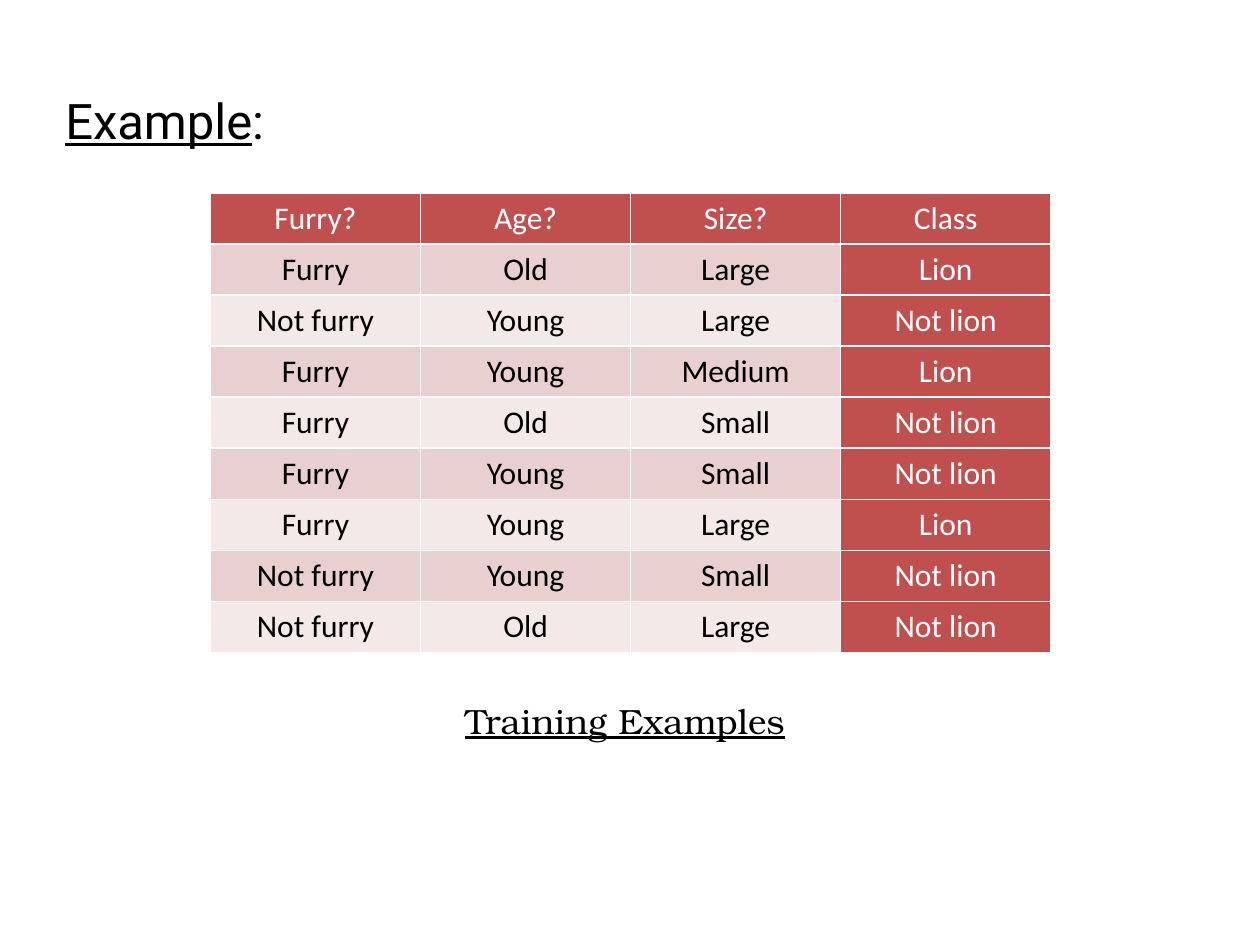
from lxml import etree
from pptx import Presentation
from pptx.dml.color import RGBColor
from pptx.enum.text import MSO_AUTO_SIZE, PP_ALIGN
from pptx.oxml.ns import qn
from pptx.util import Inches, Pt

LEFT, CENTER = PP_ALIGN.LEFT, PP_ALIGN.CENTER
FIT_SHAPE = MSO_AUTO_SIZE.SHAPE_TO_FIT_TEXT

COLORS = {
    "text": "000000",
    "light": "FFFFFF",
    "accent": "C0504D",
    "band_dark": "E8D0D0",
    "band_light": "F4E9E9",
}

# Each run: text, underlined
HEADING = [("Example", True), (":", False)]
CAPTION = [("Training Examples", True)]

EXAMPLES = [
    ("Furry?", "Age?", "Size?", "Class"),
    ("Furry", "Old", "Large", "Lion"),
    ("Not furry", "Young", "Large", "Not lion"),
    ("Furry", "Young", "Medium", "Lion"),
    ("Furry", "Old", "Small", "Not lion"),
    ("Furry", "Young", "Small", "Not lion"),
    ("Furry", "Young", "Large", "Lion"),
    ("Not furry", "Young", "Small", "Not lion"),
    ("Not furry", "Old", "Large", "Not lion"),
]
TABLE_BOX = (1.67, 1.53, 6.67, 3.65)


def add_run(paragraph, text, font, size, color, underline=False):
    """Append one formatted run to a paragraph."""
    run = paragraph.add_run()
    run.text = text
    run.font.name = font
    run.font.size = Pt(size)
    run.font.underline = underline
    run.font.color.rgb = RGBColor.from_string(COLORS[color])


def add_label(slide, box, runs, font, size, align):
    """Add a one-paragraph text box."""
    frame = slide.shapes.add_textbox(*map(Inches, box)).text_frame
    frame.word_wrap = True
    frame.auto_size = FIT_SHAPE
    paragraph = frame.paragraphs[0]
    paragraph.alignment = align
    for text, underline in runs:
        add_run(paragraph, text, font, size, "text", underline)


def set_borders(cell, color, width):
    """Draw the same line on all four sides of a cell."""
    properties = cell._tc.get_or_add_tcPr()
    for position, side in enumerate(("a:lnL", "a:lnR", "a:lnT", "a:lnB")):
        line = etree.Element(qn(side), w=str(Pt(width)))
        fill = etree.SubElement(line, qn("a:solidFill"))
        etree.SubElement(fill, qn("a:srgbClr"), val=COLORS[color])
        properties.insert(position, line)


def add_examples(slide):
    """Add the table with an accented header row and class column."""
    row_count, column_count = len(EXAMPLES), len(EXAMPLES[0])
    table = slide.shapes.add_table(
        row_count, column_count, *map(Inches, TABLE_BOX)).table
    for column in table.columns:
        column.width = Inches(TABLE_BOX[2] / column_count)
    for r, example in enumerate(EXAMPLES):
        table.rows[r].height = Inches(TABLE_BOX[3] / row_count)
        band = "band_dark" if r % 2 else "band_light"
        for c, value in enumerate(example):
            accented = r == 0 or c == column_count - 1
            cell = table.cell(r, c)
            cell.fill.solid()
            cell.fill.fore_color.rgb = RGBColor.from_string(
                COLORS["accent" if accented else band])
            set_borders(cell, "light", 1)
            paragraph = cell.text_frame.paragraphs[0]
            paragraph.alignment = CENTER
            add_run(paragraph, value, "Calibri", 18,
                    "light" if accented else "text")
            # Header and class column keep the regular weight
            paragraph.runs[0].font.bold = False


presentation = Presentation()
presentation.slide_width = Inches(10)
presentation.slide_height = Inches(7.5)
slide = presentation.slides.add_slide(presentation.slide_layouts[6])

add_label(slide, (0.42, 0.67, 9, 0.57), HEADING, "Roboto", 28, LEFT)
add_examples(slide)
add_label(slide, (1.75, 5.5, 6.42, 0.44), CAPTION, "TeX Gyre Bonum", 20, CENTER)

presentation.save("out.pptx")
